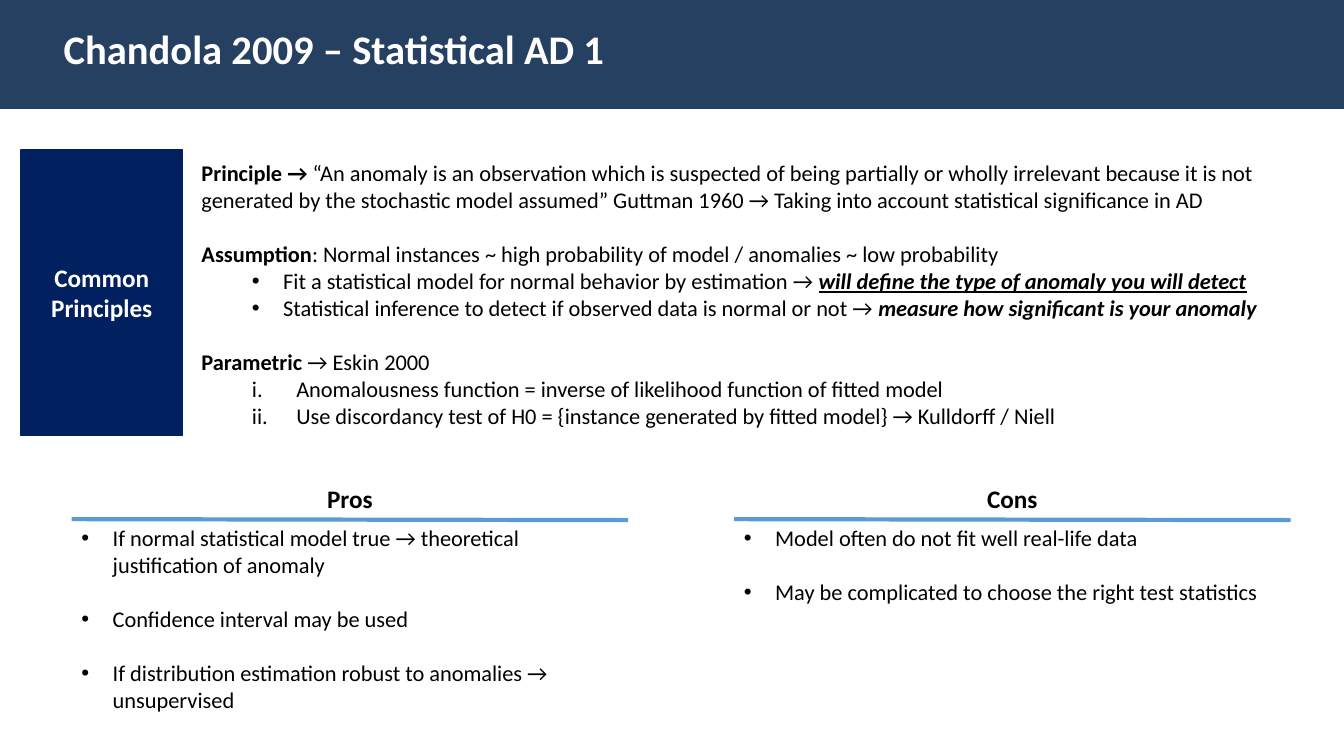
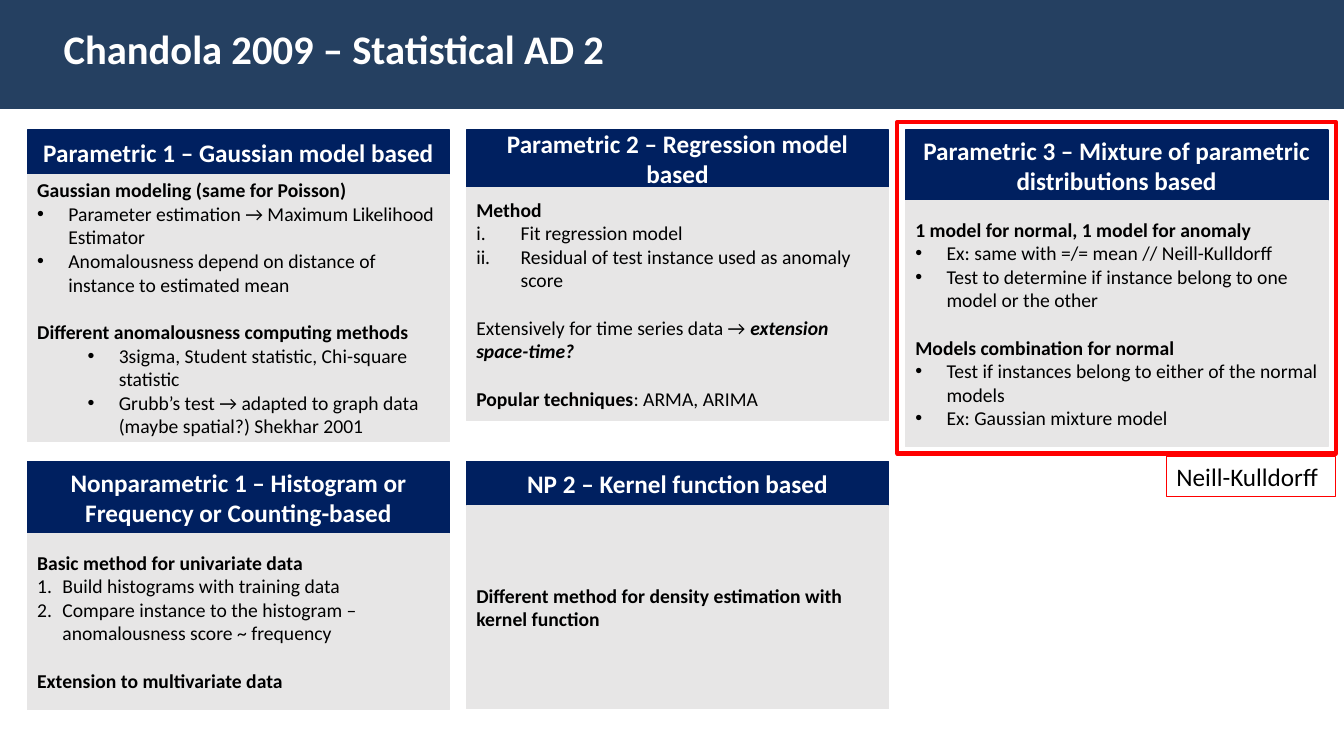
from lxml import etree
from pptx import Presentation
from pptx.dml.color import RGBColor
from pptx.enum import shapes, text
from pptx.oxml import ns
from pptx.util import Inches, Pt

# Shared look
WIDE, HIGH = 13.33, 7.5
FONT = "Calibri"
BAND, NAVY, GREY, BLUE = "254061", "002060", "E7E6E6", "5B9BD5"
RED, BLACK, WHITE = "FF0000", "000000", "FFFFFF"
LINE = 1.22  # line height as a multiple of the text size

# Card grid: left edge, pitch and width of columns, tops of rows
LEFT, PITCH, CARD = 0.27, 4.355, 4.19
ROWS = (1.29, 4.58)

# List kinds: level, margin, hanging indent, bullet tag, bullet attributes
DOT = ("buChar", {"char": "•"})
ROMAN = ("buAutoNum", {"type": "romanLcPeriod"})
DIGIT = ("buAutoNum", {"type": "arabicPeriod"})
LISTS = {
    "dot": (0, 0.31, 0.31, *DOT),
    "subdot": (1, 0.81, 0.31, *DOT),
    "roman": (0, 0.44, 0.44, *ROMAN),
    "subroman": (1, 0.94, 0.44, *ROMAN),
    "digit": (0, 0.25, 0.25, *DIGIT),
}


def color(code):
    return RGBColor.from_string(code)


def item(*runs, kind=None, gap=0):
    """A paragraph: runs are strings or (string, style) with b, i, u; gap in lines."""
    return runs, kind, gap


def bullet(par, kind):
    level, margin, hang, tag, attrs = LISTS[kind]
    par.level = level
    props = par._p.get_or_add_pPr()
    props.set("marL", str(Inches(margin)))
    props.set("indent", str(-Inches(hang)))
    if tag == "buChar":
        etree.SubElement(props, ns.qn("a:buFont"), typeface="Arial")
    etree.SubElement(props, ns.qn("a:" + tag), attrs)


def write(shape, *items, size=16, ink=BLACK, style="", center=False, middle=False):
    frame = shape.text_frame
    frame.word_wrap = True
    frame.vertical_anchor = text.MSO_ANCHOR.MIDDLE if middle else text.MSO_ANCHOR.TOP
    for n, (runs, kind, gap) in enumerate(items):
        par = frame.add_paragraph() if n else frame.paragraphs[0]
        par.alignment = text.PP_ALIGN.CENTER if center else text.PP_ALIGN.LEFT
        if gap:
            par.space_before = Pt(round(gap * LINE * size, 1))
        if kind:
            bullet(par, kind)
        for part in runs:
            words, marks = (part, style) if isinstance(part, str) else part
            run = par.add_run()
            run.text = words
            font = run.font
            font.name, font.size = FONT, Pt(size)
            font.color.rgb = color(ink)
            font.bold, font.italic = "b" in marks, "i" in marks
            font.underline = "u" in marks


def rect(slide, area, fill=None, line=None, width=1):
    shape = slide.shapes.add_shape(shapes.MSO_SHAPE.RECTANGLE, *map(Inches, area))
    shape.shadow.inherit = False
    if fill:
        shape.fill.solid()
        shape.fill.fore_color.rgb = color(fill)
    else:
        shape.fill.background()
    if line:
        shape.line.color.rgb = color(line)
        shape.line.width = Pt(width)
    else:
        shape.line.fill.background()
    return shape


def box(slide, area):
    return slide.shapes.add_textbox(*map(Inches, area))


def rule(slide, x, y, width):
    line = slide.shapes.add_connector(
        shapes.MSO_CONNECTOR.STRAIGHT,
        *map(Inches, (x, y, x + width, y + 0.01)))
    line.line.color.rgb = color(BLUE)
    line.line.width = Pt(3)
    etree.SubElement(line._element.spPr, ns.qn("a:effectLst"))


def label(slide, area, words):
    write(rect(slide, area, NAVY, NAVY), item(words), size=18, ink=WHITE,
          style="b", center=True, middle=True)


def page(deck, title):
    slide = deck.slides.add_slide(deck.slide_layouts[6])
    rect(slide, (0, 0, WIDE, 1.08), BAND)
    head = rect(slide, (0.54, 0.2, WIDE - 0.54, 0.58), BAND)
    head.text_frame.margin_left = Inches(0.09)
    head.text_frame.margin_top = Inches(0.04)
    write(head, item(title), size=29, ink=WHITE, style="b")
    return slide


def side(slide, x, title, *items):
    """A titled list under a rule."""
    top, width = 5.15, 5.52
    write(box(slide, (x, top - 0.4, width, 0.4)), item(title),
          size=18, style="b", center=True)
    rule(slide, x, top, width)
    write(box(slide, (x, top, width, 2)), *items)


def card(slide, col, row, head, body, title, *items):
    """A navy heading over a grey text panel."""
    x, y = LEFT + col * PITCH, ROWS[row]
    label(slide, (x, y, CARD, head), title)
    write(rect(slide, (x, y + head, CARD, body), GREY, GREY), *items,
          size=14, middle=True)


def first(deck):
    slide = page(deck, "Chandola 2009 – Statistical AD 1")

    # Common principles
    write(
        box(slide, (1.9, 1.53, 10.78, 2.79)),
        item(("Principle → ", "b"),
             "“An anomaly is an observation which is suspected of being partially or "
             "wholly irrelevant because it is not generated by the stochastic model "
             "assumed” Guttman 1960 → Taking into account statistical significance in AD"),
        item(("Assumption", "b"), ": Normal instances ~ high probability of model / "
             "anomalies ~ low probability", gap=1),
        item("Fit a statistical model for normal behavior by estimation → ",
             ("will define the type of anomaly you will detect", "biu"), kind="subdot"),
        item("Statistical inference to detect if observed data is normal or not → ",
             ("measure how significant is your anomaly", "bi"), kind="subdot"),
        item(("Parametric ", "b"), "→ Eskin 2000", gap=1),
        item("Anomalousness function = inverse of likelihood function of fitted model",
             kind="subroman"),
        item("Use discordancy test of H0 = {instance generated by fitted model} → "
             "Kulldorff / Niell", kind="subroman"))
    label(slide, (0.21, 1.49, 1.6, 2.83), "Common Principles")

    # Pros and cons
    side(slide, 0.71, "Pros",
         item("If normal statistical model true → theoretical justification of anomaly",
              kind="dot"),
         item("Confidence interval may be used", kind="dot", gap=1),
         item("If distribution estimation robust to anomalies → unsupervised",
              kind="dot", gap=1))
    side(slide, 7.28, "Cons",
         item("Model often do not fit well real-life data", kind="dot"),
         item("May be complicated to choose the right test statistics",
              kind="dot", gap=1))


def second(deck):
    slide = page(deck, "Chandola 2009 – Statistical AD 2")

    # Parametric row
    card(slide, 0, 0, 0.44, 2.65, "Parametric 1 – Gaussian model based",
         item(("Gaussian modeling (same for Poisson)", "b")),
         item("Parameter estimation → Maximum Likelihood Estimator", kind="dot"),
         item("Anomalousness depend on distance of instance to estimated mean",
              kind="dot"),
         item(("Different anomalousness computing methods", "b"), gap=1),
         item("3sigma, Student statistic, Chi-square statistic", kind="subdot"),
         item("Grubb’s test → adapted to graph data (maybe spatial?) Shekhar 2001",
              kind="subdot"))
    card(slide, 1, 0, 0.57, 2.31, "Parametric 2 – Regression model based",
         item(("Method", "b")),
         item("Fit regression model", kind="roman"),
         item("Residual of test instance used as anomaly score", kind="roman"),
         item("Extensively for time series data → ",
              ("extension space-time?", "bi"), gap=1),
         item(("Popular techniques", "b"), ": ARMA, ARIMA", gap=1))
    card(slide, 2, 0, 0.7, 2.44,
         "Parametric 3 – Mixture of parametric distributions based",
         item(("1 model for normal, 1 model for anomaly", "b")),
         item("Ex: same with =/= mean // Neill-Kulldorff", kind="dot"),
         item("Test to determine if instance belong to one model or the other",
              kind="dot"),
         item(("Models combination for normal", "b"), gap=1),
         item("Test if instances belong to either of the normal models", kind="dot"),
         item("Ex: Gaussian mixture model", kind="dot"))

    # Nonparametric row
    card(slide, 0, 1, 0.71, 1.75,
         "Nonparametric 1 – Histogram or Frequency or Counting-based",
         item(("Basic method for univariate data", "b")),
         item("Build histograms with training data", kind="digit"),
         item("Compare instance to the histogram – anomalousness score ~ frequency",
              kind="digit"),
         item(("Extension to multivariate data", "b"), gap=1))
    card(slide, 1, 1, 0.44, 2.01, "NP 2 – Kernel function based",
         item(("Different method for density estimation with kernel function", "b")))

    # Highlight with its tag
    rect(slide, (8.9, 1.21, 4.35, 3.29), line=RED, width=3)
    write(rect(slide, (11.57, 4.53, 1.68, 0.4), line=RED, width=0.75),
          item("Neill-Kulldorff"), size=18)


def main():
    deck = Presentation()
    deck.slide_width, deck.slide_height = Inches(WIDE), Inches(HIGH)
    first(deck)
    second(deck)
    deck.save("out.pptx")


if __name__ == "__main__":
    main()
